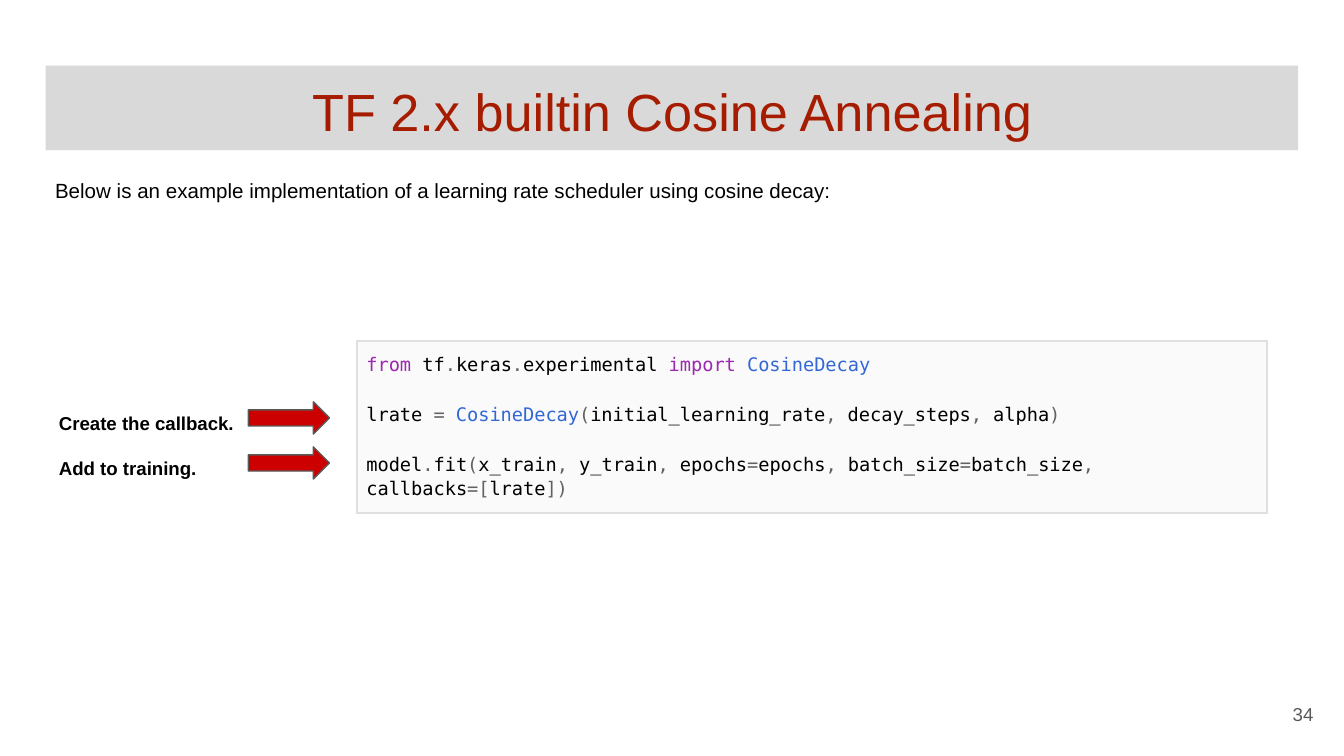
import dataclasses

import lxml.etree
import pptx
import pptx.dml.color
import pptx.enum.shapes
import pptx.enum.text
import pptx.oxml
import pptx.oxml.ns
import pptx.util

Pt = pptx.util.Pt
ALIGN = pptx.enum.text.PP_ALIGN
ANCHOR = pptx.enum.text.MSO_ANCHOR
SHAPE = pptx.enum.shapes.MSO_SHAPE
qn = pptx.oxml.ns.qn


@dataclasses.dataclass(frozen=True)
class Theme:
    sans: str = "Arial"
    mono: str = "DejaVu Sans Mono"
    title_size: float = 28
    body_size: float = 11
    small_size: float = 10
    title: str = "A61C00"
    band: str = "D9D9D9"
    black: str = "000000"
    grey: str = "595959"
    arrow: str = "CC0000"
    code_fill: str = "FAFAFA"
    code_border: str = "E0E0E0"
    keyword: str = "9C27B0"
    punct: str = "616161"
    type_name: str = "3367D6"


T = Theme()
K, N, P, C = T.keyword, T.black, T.punct, T.type_name

CODE = [
    [("from", K), (" tf", N), (".", P), ("keras", N), (".", P),
     ("experimental ", N), ("import ", K), ("CosineDecay", C)],
    [("lrate ", N), ("= ", P), ("CosineDecay", C), ("(", P),
     ("initial_learning_rate", N), (",", P), (" decay_steps", N), (",", P),
     (" alpha", N), (")", P)],
    [("model", N), (".", P), ("fit", N), ("(", P), ("x_train", N), (",", P),
     (" y_train", N), (",", P), (" epochs", N), ("=", P), ("epochs", N),
     (",", P), (" batch_size", N), ("=", P), ("batch_size", N), (",", P),
     (" callbacks", N), ("=[", P), ("lrate", N), ("])", P)],
]
STEPS = ["Create the callback.", "Add to training."]


def rgb(value):
    return pptx.dml.color.RGBColor.from_string(value)


def add_run(p, text, font, size, color, bold=False):
    r = p.add_run()
    r.text = text
    r.font.name = font
    r.font.size = Pt(size)
    r.font.bold = bold
    r.font.color.rgb = rgb(color)


def set_text(sp, text, size, color, align=ALIGN.LEFT, anchor=ANCHOR.TOP,
             spacing=1.0, bold=False):
    tf = sp.text_frame
    tf.word_wrap = True
    tf.vertical_anchor = anchor
    tf.margin_left = tf.margin_right = Pt(7.2)
    tf.margin_top = tf.margin_bottom = Pt(7.2)
    p = tf.paragraphs[0]
    p.alignment = align
    p.line_spacing = spacing
    add_run(p, text, T.sans, size, color, bold)


def add_text(s, box, text, size, color, **style):
    sp = s.shapes.add_textbox(*map(Pt, box))
    set_text(sp, text, size, color, **style)


def add_filled(s, kind, box, fill, line=None):
    sp = s.shapes.add_shape(kind, *map(Pt, box))
    sp.shadow.inherit = False
    sp.fill.solid()
    sp.fill.fore_color.rgb = rgb(fill)
    if line:
        sp.line.color.rgb = rgb(line)
        sp.line.width = Pt(0.75)
    else:
        sp.line.fill.background()
    return sp


def set_borders(cell, color, width):
    tcPr = cell._tc.get_or_add_tcPr()
    for i, side in enumerate(("a:lnL", "a:lnR", "a:lnT", "a:lnB")):
        ln = lxml.etree.Element(qn(side), w=str(Pt(width)))
        fill = lxml.etree.SubElement(ln, qn("a:solidFill"))
        lxml.etree.SubElement(fill, qn("a:srgbClr"), val=color)
        tcPr.insert(i, ln)


def add_code(s, box, lines):
    table = s.shapes.add_table(1, 1, *map(Pt, box)).table
    table.first_row = table.horz_banding = False
    cell = table.cell(0, 0)
    cell.fill.solid()
    cell.fill.fore_color.rgb = rgb(T.code_fill)
    cell.margin_left = cell.margin_right = Pt(5)
    cell.margin_top = cell.margin_bottom = Pt(5)
    set_borders(cell, T.code_border, 1)
    tf = cell.text_frame
    for i, line in enumerate(lines):
        p = tf.add_paragraph() if i else tf.paragraphs[0]
        p.line_spacing = 1.15
        p.space_before = Pt(13.4 if i else 0)
        for text, color in line:
            add_run(p, text, T.mono, T.small_size, color)


def add_step(s, top, text):
    add_filled(s, SHAPE.RIGHT_ARROW, (133, top + 3.5, 43.5, 17.3), T.arrow, T.grey)
    add_text(s, (24.5, top, 118, 25), text, T.small_size, T.black,
             spacing=1.15, bold=True)


def main():
    prs = pptx.Presentation()
    prs.slide_width, prs.slide_height = Pt(720), Pt(405)
    s = prs.slides.add_slide(prs.slide_layouts[6])
    title = add_filled(s, SHAPE.RECTANGLE, (24.5, 35.2, 671, 45.2), T.band)
    set_text(title, "TF 2.x builtin Cosine Annealing", T.title_size, T.title,
             align=ALIGN.CENTER)
    add_text(s, (667.5, 367.2, 43.2, 31), "34", T.small_size, T.grey,
             align=ALIGN.RIGHT, anchor=ANCHOR.MIDDLE)
    add_text(s, (22.4, 86.4, 675.4, 80.6),
             "Below is an example implementation of a learning rate scheduler "
             "using cosine decay:", T.body_size, T.black, spacing=1.15)
    add_code(s, (191.3, 182.8, 487.6, 82), CODE)
    for i, step in enumerate(STEPS):
        add_step(s, 211.8 + 24.1 * i, step)
    prs.save("out.pptx")


main()
